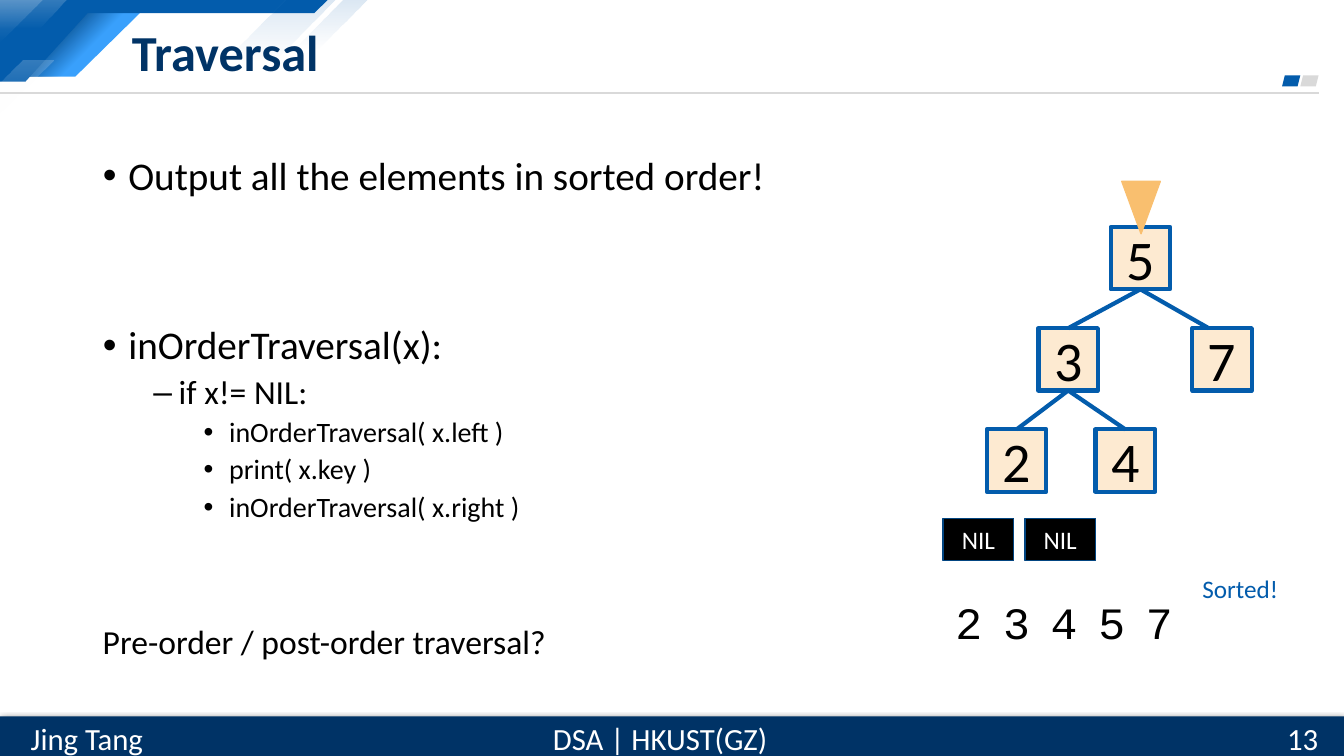
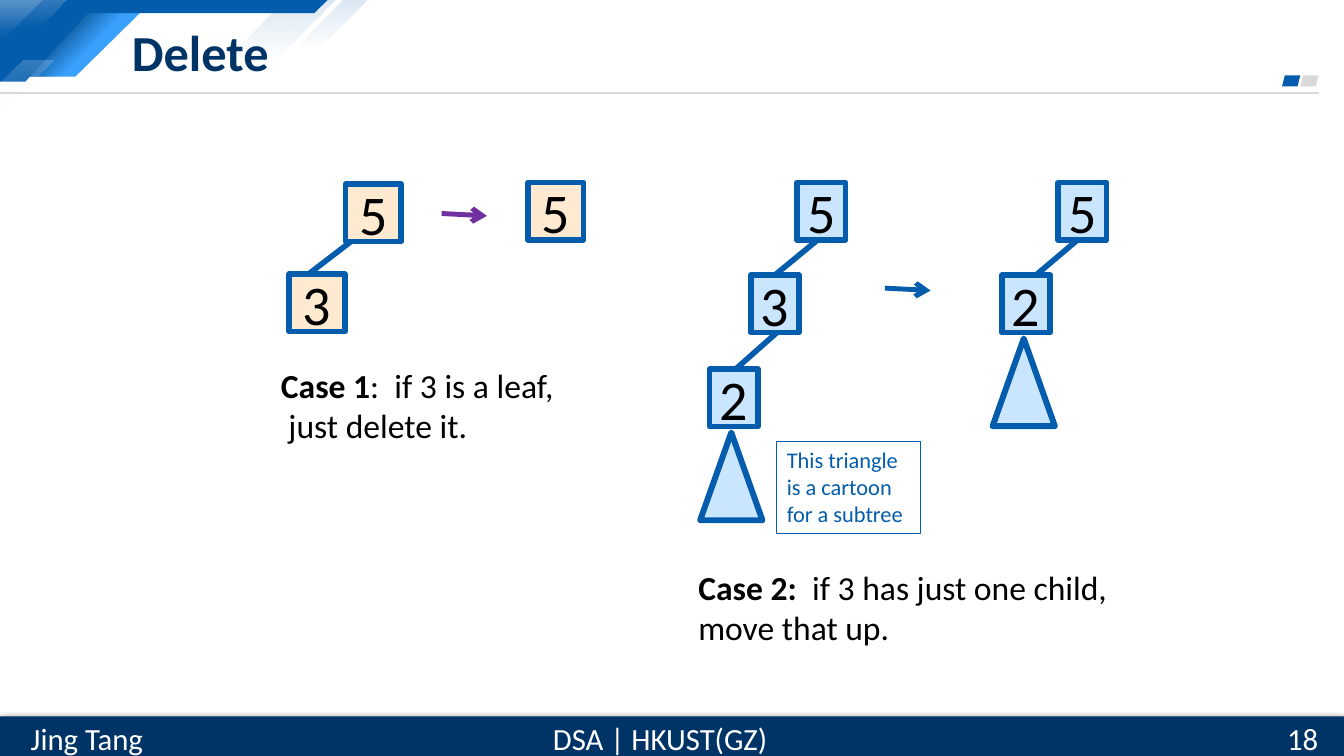
from pptx import Presentation
from pptx.dml.color import RGBColor
from pptx.enum.shapes import MSO_CONNECTOR, MSO_SHAPE
from pptx.enum.text import MSO_ANCHOR, MSO_AUTO_SIZE, PP_ALIGN
from pptx.oxml.ns import qn
from pptx.util import Cm, Pt
from lxml.etree import SubElement

COLORS = {
    "navy": "003366", "blue": "035CAC", "sky": "39A0FC", "shade": "024581",
    "pale": "CAE5FE", "peach": "FDEAD1", "orange": "F9BF6F", "purple": "7030A0",
    "gray": "D9D9D9", "white": "FFFFFF", "black": "000000",
}
SLIDE_W, SLIDE_H = 33.87, 19.05

# Corner ornament: points, colour, gradient (positions, alpha in %, angle)
FADE_WHITE = ((0, 1), (20, 0), 270)
FADE_BLUE = ((0, 1), (15, 0), 270)
BAND = [(2.13, 0.18), (3.68, 0.18), (1.9, 1.93), (0.41, 1.93)]
CORNER = [
    (BAND, "sky", None),
    (BAND, "shade", ((0.29, 0.57), (100, 0), 315)),
    ([(0, 0), (8.26, 0), (7.92, 0.33), (2.21, 0.33), (0.64, 2.06), (0, 2.06)], "blue", None),
    ([(0, 0), (1.07, 0), (0, 1.07)], "white", FADE_WHITE),
    ([(0, 0), (1.68, 0), (0.99, 0.71), (0, 0.71)], "white", FADE_WHITE),
    ([(7.21, 0), (8.46, 0), (6.91, 1.55), (5.64, 1.55)], "blue", FADE_BLUE),
    ([(8.64, 0), (9.25, 0), (8, 1.24), (7.39, 1.24)], "blue", FADE_BLUE),
    ([(0.58, 1.52), (1.35, 1.52), (0, 2.87), (0, 2.11)], "white", FADE_WHITE),
]


def rgb(name):
    return RGBColor.from_string(COLORS[name])


def write(tf, *paras, size=18, color="black", bold=False, font="Calibri",
          align=PP_ALIGN.LEFT, anchor=MSO_ANCHOR.TOP, wrap=True):
    """Each paragraph is a string or a list of (text, bold) runs."""
    tf.word_wrap = wrap
    tf.vertical_anchor = anchor
    tf.auto_size = MSO_AUTO_SIZE.NONE
    for i, para in enumerate(paras):
        p = tf.paragraphs[0] if i == 0 else tf.add_paragraph()
        p.alignment = align
        for text, heavy in [(para, bold)] if isinstance(para, str) else para:
            r = p.add_run()
            r.text = text
            r.font.name, r.font.size, r.font.bold = font, Pt(size), heavy
            r.font.color.rgb = rgb(color)


def label(s, x, y, w, h, *paras, **fmt):
    tb = s.shapes.add_textbox(Cm(x), Cm(y), Cm(w), Cm(h))
    write(tb.text_frame, *paras, **fmt)


def paint(sp, fill=None, line=None, width=1):
    sp.shadow.inherit = False
    if fill:
        sp.fill.solid()
        sp.fill.fore_color.rgb = rgb(fill)
    else:
        sp.fill.background()
    if line:
        sp.line.color.rgb = rgb(line)
        sp.line.width = Pt(width)
    else:
        sp.line.fill.background()


def shape(s, kind, x, y, w, h, fill=None, line=None, width=1):
    sp = s.shapes.add_shape(kind, Cm(x), Cm(y), Cm(w), Cm(h))
    paint(sp, fill, line, width)
    return sp


def box(s, x, y, w, h, text, fill=None, line="blue", width=3, **fmt):
    sp = shape(s, MSO_SHAPE.RECTANGLE, x, y, w, h, fill, line, width)
    write(sp.text_frame, text, **fmt)


def polygon(s, points, color, gradient):
    pts = [(Cm(x), Cm(y)) for x, y in points]
    fb = s.shapes.build_freeform(*pts[0])
    fb.add_line_segments(pts[1:], close=True)
    sp = fb.convert_to_shape()
    paint(sp, color)
    if gradient:
        positions, alphas, angle = gradient
        sp.fill.gradient()
        sp.fill.gradient_angle = angle
        for stop, pos in zip(sp.fill.gradient_stops, positions):
            stop.color.rgb = rgb(color)
            stop.position = pos
        stops = sp._element.spPr.find(qn("a:gradFill")).iter(qn("a:srgbClr"))
        for clr, alpha in zip(stops, alphas):
            SubElement(clr, qn("a:alpha"), val=str(alpha * 1000))


def line(s, x1, y1, x2, y2, color="blue", width=3, arrow=False):
    c = s.shapes.add_connector(MSO_CONNECTOR.STRAIGHT, Cm(x1), Cm(y1), Cm(x2), Cm(y2))
    c.line.color.rgb = rgb(color)
    c.line.width = Pt(width)
    spPr = c._element.spPr
    if arrow:
        SubElement(spPr.find(qn("a:ln")), qn("a:tailEnd"), type="arrow")
    SubElement(spPr, qn("a:effectLst"))


def tree(s, x, y, nodes, edges=(), size=(1.5, 1.57), fill="peach", width=4, subtree=None):
    """nodes: key -> offset; edges: parent, child, shift of start and of end."""
    w, h = size
    for key, (dx, dy) in nodes.items():
        box(s, x + dx, y + dy, w, h, key, fill=fill, width=width, size=40,
            align=PP_ALIGN.CENTER, anchor=MSO_ANCHOR.MIDDLE)
    for parent, child, start, end in edges:
        (px, py), (cx, cy) = nodes[parent], nodes[child]
        line(s, x + px + w / 2 + start, y + py + h,
             x + cx + w / 2 + end, y + cy, width=width)
    if subtree:
        dx, dy = nodes[subtree]
        tw, th = 1.57, 2.21
        shape(s, MSO_SHAPE.ISOSCELES_TRIANGLE, x + dx + (w - tw) / 2 - 0.06,
              y + dy + h + 0.15, tw, th, fill, "blue", 4.25)


def header(s):
    for points, color, gradient in CORNER:
        polygon(s, points, color, gradient)
    line(s, 0, 2.34, 33.25, 2.34, "gray", 1.5)
    for x, color in ((32.77, "gray"), (32.31, "blue")):
        shape(s, MSO_SHAPE.PARALLELOGRAM, x, 1.9, 0.46, 0.28, color)


def footer(s, number):
    top = 18.05
    bar = shape(s, MSO_SHAPE.RECTANGLE, 0, top, SLIDE_W, SLIDE_H - top, "navy")
    shadow = SubElement(bar._element.spPr.find(qn("a:effectLst")), qn("a:outerShdw"),
                        blurRad=str(Pt(4.5)), dist=str(Pt(1.5)), dir="5400000")
    clr = SubElement(shadow, qn("a:srgbClr"), val=COLORS["black"])
    SubElement(clr, qn("a:alpha"), val="63000")
    for x, w, text in ((13.61, 6.05, "DSA | HKUST(GZ)"), (0.41, 3.56, "Jing Tang"),
                       (31.8, 2.06, number)):
        label(s, x, top - 0.03, w, 1.14, text, size=22, color="white", wrap=False,
              align=PP_ALIGN.CENTER, anchor=MSO_ANCHOR.MIDDLE)


def place(ph, x, y, w, h):
    ph.left, ph.top, ph.width, ph.height = Cm(x), Cm(y), Cm(w), Cm(h)


def new_slide(prs, layout, title, number):
    s = prs.slides.add_slide(prs.slide_layouts[layout])
    header(s)
    footer(s, number)
    place(s.shapes.title, 3.07, 0.43, 25.93, 1.75)
    write(s.shapes.title.text_frame, title, size=36, color="navy", bold=True,
          anchor=MSO_ANCHOR.MIDDLE)
    return s


def outline(ph, items):
    """items: level, space before, text."""
    tf = ph.text_frame
    for i, (level, before, text) in enumerate(items):
        p = tf.paragraphs[0] if i == 0 else tf.add_paragraph()
        p.level = level
        pPr = p._p.get_or_add_pPr()
        pPr.set("marL", str(Cm(0.64 + 1.27 * level)))
        pPr.set("indent", str(-Cm(0.64)))
        p.line_spacing = 0.9
        p.space_before = Pt(before)
        r = p.add_run()
        r.text = text
        r.font.name, r.font.size = "Calibri", Pt(28 - 4 * level)
        r.font.color.rgb = rgb("black")
    tf.auto_size = MSO_AUTO_SIZE.NONE


def search_tree(s, x, y):
    nodes = {"4": (2.74, 5.1), "2": (0, 5.1), "7": (5.18, 2.55), "3": (1.3, 2.55), "5": (3.12, 0)}
    edges = [("5", "7", 0, -0.34), ("3", "4", 0, 0), ("5", "3", 0, 0), ("3", "2", 0, 0)]
    tree(s, x, y, nodes, edges, width=3)
    pointer = shape(s, MSO_SHAPE.ISOSCELES_TRIANGLE, x + 3.4, y - 1.15, 0.97, 1.32,
                    "orange", "orange")
    pointer.rotation = 180


def sorted_output(s, x, y):
    for i in range(2):
        box(s, x + 2.06 * i, y, 1.78, 1.07, "NIL", fill="black", line="shade", width=1,
            color="white", align=PP_ALIGN.CENTER, anchor=MSO_ANCHOR.MIDDLE)
    for i, digit in enumerate("23457"):
        label(s, x + 0.06 + 1.2 * i, y + 1.8, 1.09, 1.63, digit, size=32, font="Courier New")
    label(s, x + 6.28, y + 1.27, 3.58, 1.02, "Sorted!", color="blue")


def leaf_case(s, x, y):
    size = (1.4, 1.45)
    tree(s, x, y, {"5": (1.88, 0.04), "3": (0.46, 2.31)}, [("5", "3", -0.57, -0.22)], size)
    line(s, x + 4.3, y + 0.78, x + 5.44, y + 0.84, "purple", 3.5, arrow=True)
    tree(s, x, y, {"5": (6.48, 0)}, size=size)
    label(s, x, y + 4.47, 8.33, 2.31, [("Case 1", True), (":  if 3 is a leaf,", False)],
          " just delete it.", size=24)


def one_child_case(s, x, y):
    look = dict(size=(1.22, 1.45), fill="pale", subtree="2")
    tree(s, x, y, {"5": (2.74, 0), "3": (1.57, 2.33), "2": (0.53, 4.7)},
         [("5", "3", -0.1, 0), ("3", "2", 0.05, 0.05)], **look)
    line(s, x + 4.95, y + 2.66, x + 6.1, y + 2.72, "blue", 3.5, arrow=True)
    tree(s, x, y, {"5": (9.32, 0), "2": (7.9, 2.33)}, [("5", "2", -0.13, 0.25)], **look)
    box(s, x + 2.23, y + 6.53, 3.61, 2.31, "This triangle is a cartoon for a subtree",
        width=0.75, size=16, color="blue")
    label(s, x, y + 9.55, 11.15, 2.31, [("Case 2:  ", True), ("if 3 has just one child,", False)],
          "move that up.", size=24)


def traversal_slide(prs):
    s = new_slide(prs, 1, "Traversal", "13")
    body = s.placeholders[1]
    place(body, 2.34, 3.81, 20.5, 11)
    outline(body, [
        (0, 0, "Output all the elements in sorted order!"),
        (0, 91, "inOrderTraversal(x):"),
        (1, 5, "if x!= NIL:"),
        (2, 5, "inOrderTraversal( x.left )"),
        (2, 5, "print( x.key )"),
        (2, 5, "inOrderTraversal( x.right )"),
    ])
    search_tree(s, 24.87, 5.72)
    sorted_output(s, 23.77, 13.06)
    label(s, 2.34, 15.52, 11.81, 1.27, "Pre-order / post-order traversal?", size=24, wrap=False)


def delete_slide(prs):
    s = new_slide(prs, 5, "Delete", "18")
    leaf_case(s, 6.83, 4.6)
    one_child_case(s, 17.35, 4.6)


def main():
    prs = Presentation()
    prs.slide_width, prs.slide_height = Cm(SLIDE_W), Cm(SLIDE_H)
    traversal_slide(prs)
    delete_slide(prs)
    prs.save("out.pptx")


if __name__ == "__main__":
    main()
